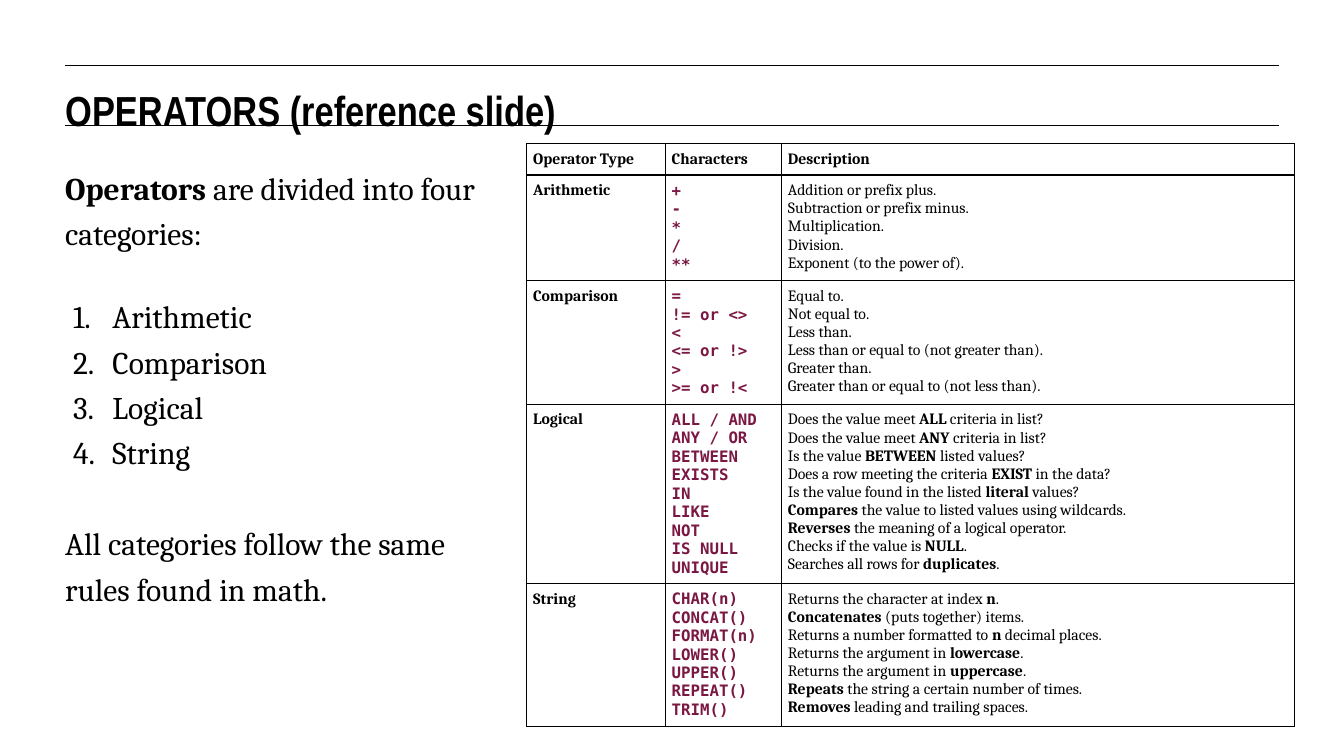
from lxml import etree
from pptx import Presentation
from pptx.dml.color import RGBColor
from pptx.enum import shapes, text
from pptx.oxml import ns
from pptx.util import Pt

BLACK = RGBColor(0, 0, 0)
PLUM = RGBColor(0x7A, 0x17, 0x43)
SERIF, MONO, HEADING = "Cambria", "DejaVu Sans Mono", "Arial Narrow"
MARGIN = 49.7


def style(font, face, size, color=BLACK, bold=False):
    font.name, font.size, font.bold = face, Pt(size), bold
    font.color.rgb = color


def write_marked(paragraph, marked, size):
    """Write text in which |bars| enclose the bold words."""
    for i, part in enumerate(marked.split("|")):
        if part:
            run = paragraph.add_run()
            run.text = part
            style(run.font, SERIF, size, bold=i % 2 == 1)


prs = Presentation()
prs.slide_width, prs.slide_height = Pt(1024), Pt(575.3)
slide = prs.slides.add_slide(prs.slide_layouts[5])

# Rules above and below the title
for y in (49.7, 95.8):
    rule = slide.shapes.add_connector(
        shapes.MSO_CONNECTOR.STRAIGHT, Pt(MARGIN), Pt(y), Pt(974.2), Pt(y))
    rule.line.color.rgb = BLACK
    rule.line.width = Pt(0.75)
    etree.SubElement(rule.line._get_or_add_ln().getparent(), ns.qn("a:effectLst"))

# Title and introduction
title = slide.shapes.title
title.left, title.top, title.width, title.height = Pt(MARGIN), Pt(58.3), Pt(684), Pt(33.8)
intro = slide.shapes.add_textbox(Pt(MARGIN), Pt(123.1), Pt(319.7), Pt(402.5))
for frame in (title.text_frame, intro.text_frame):
    frame.margin_left = frame.margin_right = frame.margin_top = frame.margin_bottom = 0
    frame.word_wrap = True
    frame.auto_size = text.MSO_AUTO_SIZE.NONE
    frame.vertical_anchor = text.MSO_ANCHOR.TOP

title.text_frame.text = "OPERATORS (reference slide)"
heading = title.text_frame.paragraphs[0]
heading.alignment = text.PP_ALIGN.LEFT
heading.line_spacing = 1.15
style(heading.runs[0].font, HEADING, 32, bold=True)

categories = ["Arithmetic", "Comparison", "Logical", "String"]
intro_lines = ["|Operators| are divided into four categories:", *categories,
               "All categories follow the same rules found in math."]
for i, line in enumerate(intro_lines):
    paragraph = intro.text_frame.paragraphs[0] if i == 0 else intro.text_frame.add_paragraph()
    paragraph.line_spacing = 1.2
    if line in categories:
        props = paragraph._p.get_or_add_pPr()
        props.set("marL", str(Pt(36)))
        props.set("indent", str(Pt(-30)))
        etree.SubElement(props, ns.qn("a:buFont"), typeface=SERIF)
        etree.SubElement(props, ns.qn("a:buAutoNum"), type="arabicPeriod")
    if line == categories[0]:
        paragraph.space_before = Pt(28.6)
    elif line == intro_lines[-1]:
        paragraph.space_before = Pt(34.7)
    write_marked(paragraph, line, 24)

# Operator table: type, characters, description
rows = [
    ("|Operator Type|", ["|Characters|"], ["|Description|"]),
    ("|Arithmetic|", ["+", "-", "*", "/", "**"],
     ["Addition or prefix plus.", "Subtraction or prefix minus.", "Multiplication.",
      "Division.", "Exponent (to the power of)."]),
    ("|Comparison|", ["=", "!= or <>", "<", "<= or !>", ">", ">= or !<"],
     ["Equal to.", "Not equal to.", "Less than.",
      "Less than or equal to (not greater than).", "Greater than.",
      "Greater than or equal to (not less than)."]),
    ("|Logical|",
     ["ALL / AND", "ANY / OR", "BETWEEN", "EXISTS", "IN", "LIKE", "NOT", "IS NULL", "UNIQUE"],
     ["Does the value meet |ALL| criteria in list?",
      "Does the value meet |ANY| criteria in list?",
      "Is the value |BETWEEN| listed values?",
      "Does a row meeting the criteria |EXIST| in the data?",
      "Is the value found in the listed |literal| values?",
      "|Compares| the value to listed values using wildcards.",
      "|Reverses| the meaning of a logical operator.",
      "Checks if the value is |NULL|.",
      "Searches all rows for |duplicates|."]),
    ("|String|",
     ["CHAR(n)", "CONCAT()", "FORMAT(n)", "LOWER()", "UPPER()", "REPEAT()", "TRIM()"],
     ["Returns the character at index |n|.",
      "|Concatenates| (puts together) items.",
      "Returns a number formatted to |n| decimal places.",
      "Returns the argument in |lowercase|.",
      "Returns the argument in |uppercase|.",
      "|Repeats| the string a certain number of times.",
      "|Removes| leading and trailing spaces."]),
]
col_widths = [105.6, 88.6, 390.6]
row_heights = [24, 80, 94, 136, 109]
operators = slide.shapes.add_table(
    len(rows), len(col_widths), Pt(401.2), Pt(109.4),
    Pt(sum(col_widths)), Pt(sum(row_heights))).table
operators.first_row = operators.horz_banding = False
for column, width in zip(operators.columns, col_widths):
    column.width = Pt(width)
for row, height in zip(operators.rows, row_heights):
    row.height = Pt(height)

for r, (kind, characters, descriptions) in enumerate(rows):
    for c, lines in enumerate(([kind], characters, descriptions)):
        cell = operators.cell(r, c)
        cell.margin_left = cell.margin_right = cell.margin_top = cell.margin_bottom = Pt(5)
        cell_props = cell._tc.get_or_add_tcPr()
        for side in ("lnL", "lnR", "lnT", "lnB"):
            border = etree.SubElement(cell_props, ns.qn(f"a:{side}"), w=str(Pt(1)))
            fill = etree.SubElement(border, ns.qn("a:solidFill"))
            etree.SubElement(fill, ns.qn("a:srgbClr"), val=str(BLACK))
        cell.fill.background()
        for i, line in enumerate(lines):
            paragraph = cell.text_frame.paragraphs[0] if i == 0 else cell.text_frame.add_paragraph()
            if r > 0 and c == 1:
                paragraph.text = line
                style(paragraph.runs[0].font, MONO, 12, PLUM, bold=True)
            else:
                write_marked(paragraph, line, 12)

prs.save("out.pptx")
